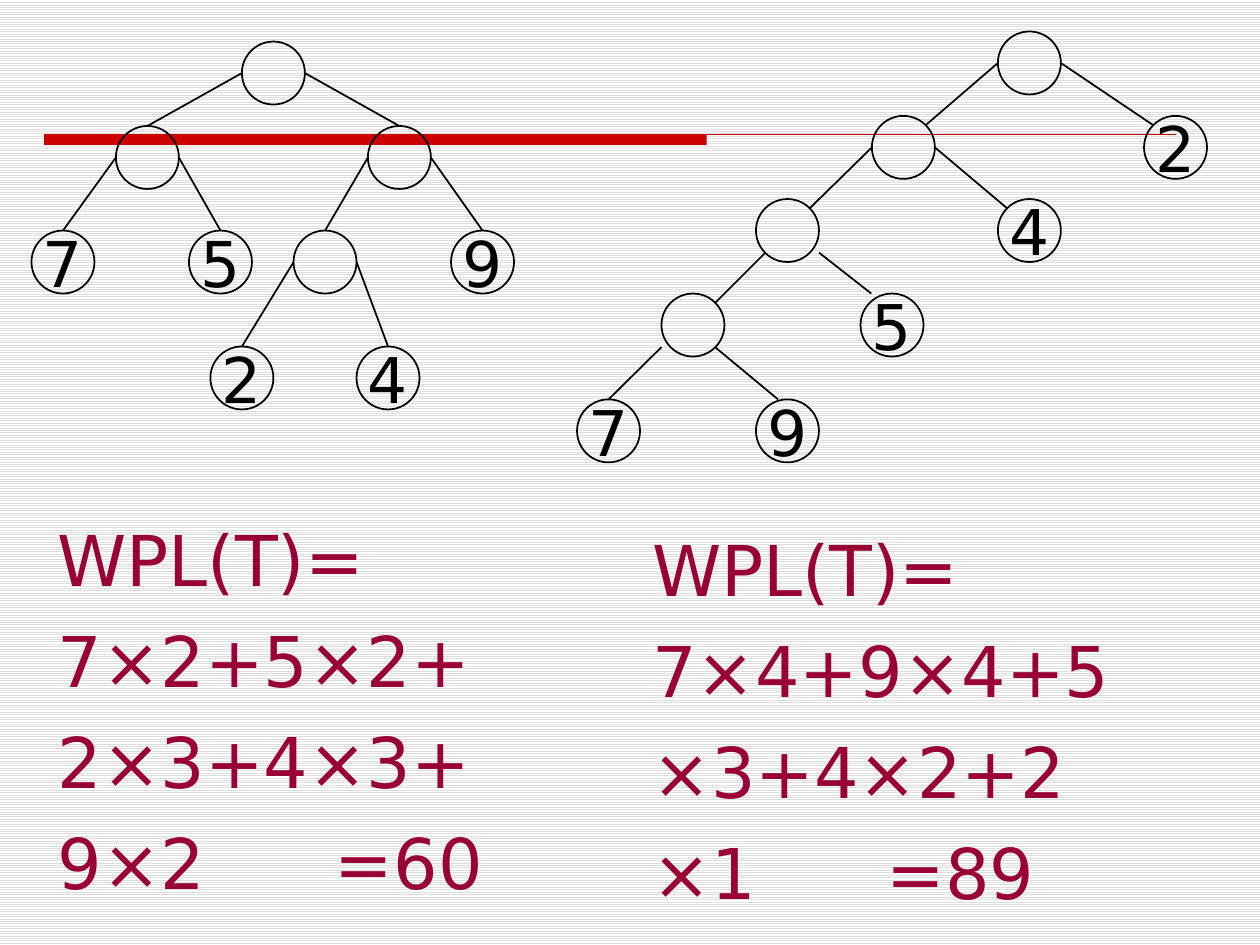
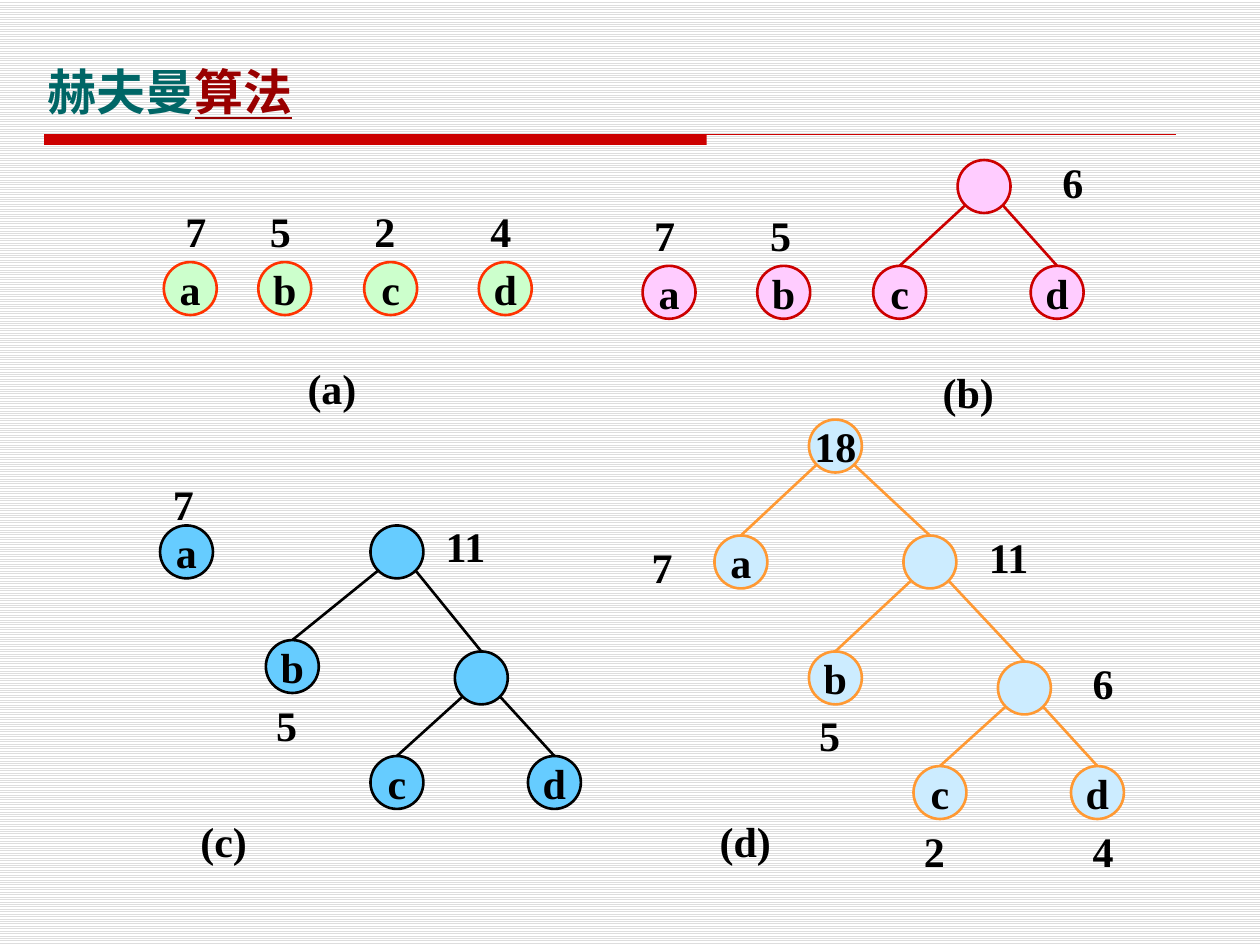
from dataclasses import dataclass

import pptx
from lxml import etree
from pptx.dml.color import RGBColor
from pptx.enum.dml import MSO_PATTERN
from pptx.enum.shapes import MSO_CONNECTOR, MSO_SHAPE
from pptx.enum.text import MSO_ANCHOR, MSO_AUTO_SIZE, PP_ALIGN
from pptx.oxml.ns import qn
from pptx.util import Inches, Pt


@dataclass(frozen=True)
class Theme:
    band: str = "CC0000"
    paper: str = "FFFFFF"
    stripe: str = "DDDDDD"
    ink: str = "000000"
    formula: str = "990033"
    title: str = "006666"
    title_accent: str = "990000"
    sans: str = "DejaVu Sans"
    serif: str = "Times New Roman"
    cjk: str = "Noto Sans CJK SC"
    title_size: int = 28
    weight_size: int = 36
    formula_size: int = 40
    letter_size: int = 24


THEME = Theme()
WEIGHT_TEXT = dict(name=THEME.sans, size=THEME.weight_size)
LETTER_TEXT = dict(name=THEME.serif, size=THEME.letter_size, bold=True)
FORMULA_TEXT = dict(name=THEME.sans, size=THEME.formula_size, color=THEME.formula)

# Points on a node, as fractions of its diameter
TOP = (0.5, 0)
UPPER_LEFT, UPPER_RIGHT = (0.15, 0.15), (0.85, 0.15)
SIDE, LOWER = (1, 0.5), (0.85, 0.85)  # exits to the right; mirrored to the left

# Nodes: key -> (text, left, top). Edges: (parent, child[, exit, entry]).
PATH_TREES = [
    dict(
        nodes={
            "root": ("", 1.92, 0.33), "l": ("", 0.92, 1), "r": ("", 2.92, 1),
            "7": ("7", 0.25, 1.83), "5": ("5", 1.5, 1.83),
            "rl": ("", 2.33, 1.83), "9": ("9", 3.58, 1.83),
            "2": ("2", 1.67, 2.75), "4": ("4", 2.83, 2.75),
        },
        edges=[("root", "l"), ("root", "r"), ("l", "7"), ("l", "5"),
               ("r", "rl"), ("r", "9"), ("rl", "2"), ("rl", "4")],
    ),
    dict(
        nodes={
            "root": ("", 7.92, 0.25), "l": ("", 6.92, 0.92), "2": ("2", 9.08, 0.92),
            "ll": ("", 6, 1.58), "4": ("4", 7.92, 1.58),
            "lll": ("", 5.25, 2.33), "5": ("5", 6.83, 2.33),
            "7": ("7", 4.58, 3.17), "9": ("9", 6, 3.17),
        },
        edges=[
            ("root", "l", SIDE, UPPER_RIGHT), ("root", "2", SIDE, UPPER_LEFT),
            ("l", "ll", SIDE, UPPER_RIGHT), ("l", "4", SIDE, UPPER_LEFT),
            ("ll", "lll", LOWER, UPPER_RIGHT), ("ll", "5", (1, 0.85), (0.17, 0)),
            ("lll", "7", (1, 0.85), TOP), ("lll", "9", LOWER, (0.35, 0)),
        ],
    ),
]
PATH_LOOK = dict(diameter=0.5, line=THEME.ink, width=1, fill=None,
                 font=WEIGHT_TEXT, exit=SIDE)

# Text, box, tab stop of the result
FORMULAS = [
    ("WPL(T)= 7×2+5×2+2×3+4×3+9×2\t=60", (0.36, 3.92, 3.81, 3.3), 2.2),
    ("WPL(T)= 7×4+9×4+5×3+4×2+2×1\t=89", (5.08, 4, 3.92, 3.3), 1.86),
]

TITLE = [("赫夫曼", dict(color=THEME.title)),
         ("算法", dict(color=THEME.title_accent, underline=True))]

# Labels: (text, left, top)
HUFFMAN_STEPS = [
    dict(
        fill="CCFFCC", line="FF3300",
        nodes={"a": ("a", 1.3, 2.08), "b": ("b", 2.05, 2.08),
               "c": ("c", 2.89, 2.08), "d": ("d", 3.8, 2.08)},
        edges=[],
        labels=[("7", 1.22, 1.58), ("5", 1.89, 1.58), ("2", 2.72, 1.58),
                ("4", 3.64, 1.58), ("(a)", 2.3, 2.83)],
    ),
    dict(
        fill="FFCCFF", line="CC0000",
        nodes={"a": ("a", 5.1, 2.11), "b": ("b", 6.01, 2.11), "cd": ("", 7.6, 1.27),
               "c": ("c", 6.93, 2.11), "d": ("d", 8.18, 2.11)},
        edges=[("cd", "c"), ("cd", "d")],
        labels=[("7", 4.94, 1.61), ("5", 5.86, 1.61), ("6", 8.18, 1.19),
                ("(b)", 7.35, 2.86)],
    ),
    dict(
        fill="66CCFF", line="000000",
        nodes={"a": ("a", 1.27, 4.17), "bcd": ("", 2.94, 4.17), "b": ("b", 2.11, 5.08),
               "cd": ("", 3.61, 5.17), "c": ("c", 2.94, 6), "d": ("d", 4.19, 6)},
        edges=[("bcd", "b"), ("bcd", "cd"), ("cd", "c"), ("cd", "d")],
        labels=[("7", 1.12, 3.75), ("11", 3.36, 4.08), ("5", 1.94, 5.5),
                ("(c)", 1.44, 6.42)],
    ),
    dict(
        fill="CCECFF", line="FF9933",
        nodes={"all": ("18", 6.42, 3.33), "a": ("a", 5.67, 4.25), "bcd": ("", 7.17, 4.25),
               "b": ("b", 6.42, 5.17), "cd": ("", 7.92, 5.25),
               "c": ("c", 7.25, 6.08), "d": ("d", 8.5, 6.08)},
        edges=[("all", "a"), ("all", "bcd"), ("bcd", "b"), ("bcd", "cd"),
               ("cd", "c"), ("cd", "d")],
        labels=[("7", 4.92, 4.25), ("11", 7.67, 4.17), ("5", 6.25, 5.58),
                ("6", 8.42, 5.17), ("2", 7.08, 6.5), ("4", 8.42, 6.5),
                ("(d)", 5.58, 6.42)],
    ),
]
STEP_LOOK = dict(diameter=0.42, width=1.5, font=LETTER_TEXT, exit=LOWER)
LABEL_SIZE = (0.67, 0.5)


def set_all(target, **values):
    for attribute, value in values.items():
        setattr(target, attribute, value)


def add_run(paragraph, text, size, color=THEME.ink, **font):
    run = paragraph.add_run()
    run.text = text
    set_all(run.font, size=Pt(size), **font)
    run.font.color.rgb = RGBColor.from_string(color)
    etree.SubElement(run.font._element, qn("a:ea")).set("typeface", font["name"])


def add_text(shapes, text, box, font, **paragraph_format):
    frame = shapes.add_textbox(*map(Inches, box)).text_frame
    frame.word_wrap = True
    paragraph = frame.paragraphs[0]
    set_all(paragraph, **paragraph_format)
    add_run(paragraph, text, **font)
    return paragraph


def add_line(shapes, start, end, color, width):
    line = shapes.add_connector(MSO_CONNECTOR.STRAIGHT, *map(Inches, (*start, *end)))
    line.line.color.rgb = RGBColor.from_string(color)
    line.line.width = Pt(width)
    etree.SubElement(line._element.spPr, qn("a:effectLst"))
    return line


def add_node(shapes, text, left, top, look):
    node = shapes.add_shape(MSO_SHAPE.OVAL, *map(Inches, (left, top, look["diameter"], look["diameter"])))
    node.shadow.inherit = False
    node.line.color.rgb = RGBColor.from_string(look["line"])
    node.line.width = Pt(look["width"])
    if look["fill"]:
        node.fill.solid()
        node.fill.fore_color.rgb = RGBColor.from_string(look["fill"])
    else:
        node.fill.background()
    if text:
        frame = node.text_frame
        set_all(frame, word_wrap=False, vertical_anchor=MSO_ANCHOR.MIDDLE)
        frame.paragraphs[0].alignment = PP_ALIGN.CENTER
        add_run(frame.paragraphs[0], text, **look["font"])
    return node


def add_tree(shapes, nodes, edges, look):
    ovals = {key: add_node(shapes, *node, look) for key, node in nodes.items()}

    def point(key, anchor):
        return [edge + fraction * look["diameter"]
                for edge, fraction in zip(nodes[key][1:], anchor)]

    for parent, child, *anchors in edges:
        (across, down), entry = anchors or (look["exit"], TOP)
        if nodes[child][1] < nodes[parent][1]:
            across = 1 - across
        branch = add_line(shapes, point(parent, (across, down)), point(child, entry),
                          look["line"], look["width"])
        if entry == TOP:
            branch.end_connect(ovals[child], 0)


def add_slide(prs, layout):
    """Add a slide with the red band that all slides share."""
    slide = prs.slides.add_slide(prs.slide_layouts[layout])
    bar = slide.shapes.add_shape(MSO_SHAPE.RECTANGLE, *map(Inches, (0.35, 1.07, 5.26, 0.08)))
    bar.shadow.inherit = False
    bar.fill.solid()
    bar.fill.fore_color.rgb = RGBColor.from_string(THEME.band)
    bar.line.fill.background()
    add_line(slide.shapes, (0.35, 1.07), (9.33, 1.07), THEME.band, 0.75)
    return slide


def build_path_lengths(prs):
    shapes = add_slide(prs, 6).shapes
    for tree in PATH_TREES:
        add_tree(shapes, tree["nodes"], tree["edges"], PATH_LOOK)
    for text, box, result_tab in FORMULAS:
        paragraph = add_text(shapes, text, box, FORMULA_TEXT, line_spacing=1.2)
        tabs = etree.SubElement(paragraph._p.get_or_add_pPr(), qn("a:tabLst"))
        etree.SubElement(tabs, qn("a:tab"), pos=str(Inches(result_tab)), algn="l")


def build_huffman(prs):
    slide = add_slide(prs, 5)
    title = slide.shapes.title
    set_all(title, left=Inches(0.28), top=Inches(0.44), width=Inches(2.17), height=Inches(0.57))
    set_all(title.text_frame, word_wrap=False, vertical_anchor=MSO_ANCHOR.TOP,
            auto_size=MSO_AUTO_SIZE.NONE)
    heading = title.text_frame.paragraphs[0]
    heading.alignment = PP_ALIGN.LEFT
    for text, font in TITLE:
        add_run(heading, text, THEME.title_size, name=THEME.cjk, bold=True, **font)

    for step in HUFFMAN_STEPS:
        shapes = slide.shapes.add_group_shape().shapes
        look = dict(STEP_LOOK, fill=step["fill"], line=step["line"])
        add_tree(shapes, step["nodes"], step["edges"], look)
        for text, left, top in step["labels"]:
            add_text(shapes, text, (left, top, *LABEL_SIZE), LETTER_TEXT,
                     alignment=PP_ALIGN.CENTER)


def main():
    prs = pptx.Presentation()
    set_all(prs, slide_width=Inches(10), slide_height=Inches(7.5))
    paper = prs.slide_master.background.fill
    paper.patterned()
    paper.pattern = MSO_PATTERN.LIGHT_HORIZONTAL
    paper.fore_color.rgb = RGBColor.from_string(THEME.stripe)
    paper.back_color.rgb = RGBColor.from_string(THEME.paper)
    build_path_lengths(prs)
    build_huffman(prs)
    prs.save("out.pptx")


if __name__ == "__main__":
    main()
